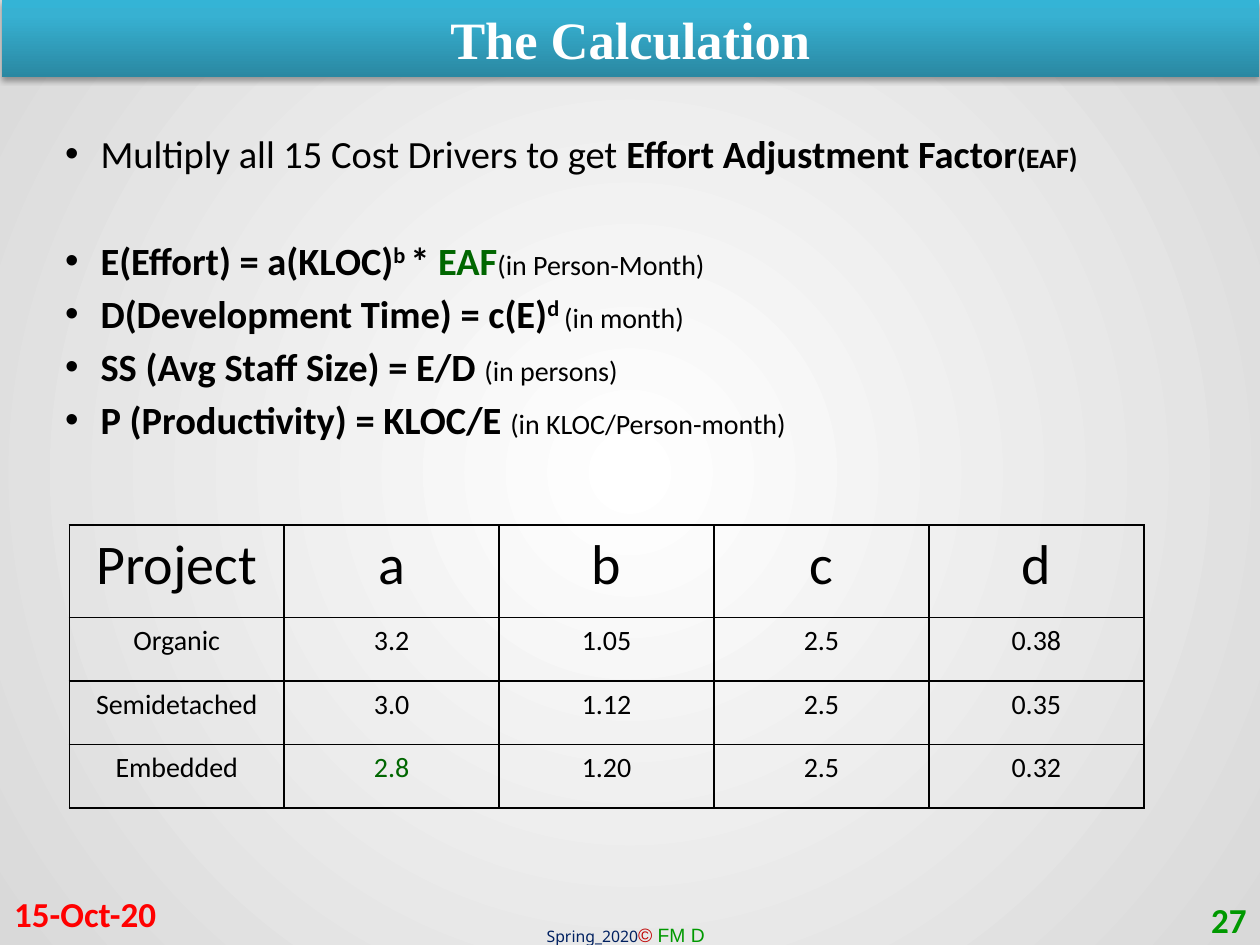
from dataclasses import dataclass

from lxml.etree import SubElement
from pptx import Presentation
from pptx.dml.color import RGBColor
from pptx.enum.text import MSO_ANCHOR, PP_ALIGN
from pptx.oxml import parse_xml
from pptx.oxml.ns import nsdecls, qn
from pptx.util import Pt


@dataclass(frozen=True)
class Theme:
    font: str = "Calibri"
    title_font: str = "Times New Roman"
    footer_font: str = "Noto Sans"
    mark_font: str = "Arial"
    black: str = "000000"
    white: str = "FFFFFF"
    edge: str = "D9D9D9"
    accent: str = "006600"
    date: str = "FF0000"
    number: str = "009900"
    term: str = "002060"
    mark: str = "C00000"
    band: tuple = ((0, "2A88A2"), (80, "37B1D2"), (100, "34B4D6"))
    title_size: int = 30
    body_size: int = 22
    small_size: int = 16
    head_size: int = 32
    corner_size: int = 20
    footer_size: int = 9
    mark_size: int = 11


T = Theme()


def text(value, size=T.body_size, color=T.black, font=T.font, bold=False, italic=False, raised=0):
    return dict(value=value, size=size, color=color, font=font, bold=bold, italic=italic, raised=raised)


def gradient(stops, direction):
    marks = "".join(f'<a:gs pos="{at * 1000}"><a:srgbClr val="{color}"/></a:gs>' for at, color in stops)
    return parse_xml(f'<a:gradFill {nsdecls("a")} rotWithShape="1"><a:gsLst>{marks}</a:gsLst>{direction}</a:gradFill>')


def swap_fill(fill, parent, grad):
    fill.solid()
    solid = parent.find(qn("a:solidFill"))
    parent.replace(solid, grad)


class Deck:
    def __init__(self, theme, width, height):
        self.theme = theme
        self.prs = Presentation()
        self.prs.slide_width, self.prs.slide_height = Pt(width), Pt(height)
        self.s = self.prs.slides.add_slide(self.prs.slide_layouts[5])

    def background(self, inner, outer):
        fill = self.s.background.fill
        fill.solid()
        bg = self.s._element.find(".//" + qn("p:bgPr"))
        centre = '<a:path path="circle"><a:fillToRect l="50000" t="50000" r="50000" b="50000"/></a:path>'
        swap_fill(fill, bg, gradient(((0, inner), (100, outer)), centre))

    def add_runs(self, p, runs, align=PP_ALIGN.LEFT):
        p.alignment = align
        for item in runs:
            r = p.add_run()
            r.text = item["value"]
            f = r.font
            f.name, f.size = item["font"], Pt(item["size"])
            f.bold, f.italic = item["bold"], item["italic"]
            f.color.rgb = RGBColor.from_string(item["color"])
            if item["raised"]:
                r._r.get_or_add_rPr().set("baseline", str(item["raised"] * 1000))

    def title(self, box, run):
        sp = self.s.shapes.title
        sp.left, sp.top, sp.width, sp.height = map(Pt, box)
        swap_fill(sp.fill, sp._element.spPr, gradient(self.theme.band, '<a:lin ang="16200000" scaled="0"/>'))
        sp._element.spPr.append(parse_xml(
            f'<a:effectLst {nsdecls("a")}><a:outerShdw blurRad="{Pt(3.1)}" dist="{Pt(1.8)}" dir="5400000" '
            'rotWithShape="0"><a:srgbClr val="000000"><a:alpha val="35000"/></a:srgbClr></a:outerShdw></a:effectLst>'))
        sp.text_frame.vertical_anchor = MSO_ANCHOR.MIDDLE
        self.add_runs(sp.text_frame.paragraphs[0], [run], PP_ALIGN.CENTER)

    def box(self, box, runs, align=PP_ALIGN.LEFT, anchor=MSO_ANCHOR.TOP, wrap=True):
        tf = self.s.shapes.add_textbox(*map(Pt, box)).text_frame
        tf.word_wrap, tf.vertical_anchor = wrap, anchor
        self.add_runs(tf.paragraphs[0], runs, align)
        return tf

    def bullets(self, box, items, indent):
        tf = self.box(box, items[0][1])
        for i, (gap, runs) in enumerate(items):
            p = tf.paragraphs[0]
            if i:
                p = tf.add_paragraph()
                self.add_runs(p, runs)
            p.space_before = Pt(gap)
            pPr = p._p.get_or_add_pPr()
            pPr.set("marL", str(Pt(indent)))
            pPr.set("indent", str(-Pt(indent)))
            SubElement(pPr, qn("a:buFont"), typeface=self.theme.mark_font)
            SubElement(pPr, qn("a:buChar"), char="•")

    def border(self, cell):
        tcPr = cell._tc.get_or_add_tcPr()
        for side in "LRTB":
            ln = SubElement(tcPr, qn(f"a:ln{side}"), w=str(Pt(1)))
            SubElement(SubElement(ln, qn("a:solidFill")), qn("a:srgbClr"), val=self.theme.black)

    def table(self, left, top, col_width, heights, rows, highlight):
        cols = len(rows[0])
        tbl = self.s.shapes.add_table(
            len(rows), cols, Pt(left), Pt(top), Pt(col_width * cols), Pt(sum(heights))).table
        tbl.first_row = tbl.horz_banding = False
        for col in tbl.columns:
            col.width = Pt(col_width)
        for i, row in enumerate(rows):
            tbl.rows[i].height = Pt(heights[i])
            for j, value in enumerate(row):
                cell = tbl.cell(i, j)
                self.border(cell)
                cell.fill.background()
                size = self.theme.small_size if i else self.theme.head_size
                color = self.theme.accent if (i, j) == highlight else self.theme.black
                self.add_runs(cell.text_frame.paragraphs[0], [text(value, size=size, color=color)], PP_ALIGN.CENTER)


def main():
    d = Deck(T, 720, 540)
    d.background(T.white, T.edge)
    d.box((305.3, 524.2, 108.7, 20.9), [
        text("Spring_2020", size=T.footer_size, font=T.footer_font, color=T.term),
        text("© ", size=T.mark_size, font=T.mark_font, color=T.mark, italic=True),
        text("FM D", size=T.mark_size, font=T.mark_font, color=T.number)], wrap=False)
    d.title((1, 0, 718.5, 43.9), text(
        "The Calculation", size=T.title_size, font=T.title_font, color=T.white, bold=True))
    d.bullets((30.2, 71, 623.5, 205), [
        (0, [text("Multiply all 15 Cost Drivers to get "),
             text("Effort Adjustment Factor", bold=True),
             text("(EAF)", size=T.small_size, bold=True)]),
        (34.4, [text("E(Effort) = a(KLOC)", bold=True),
                text("b ", bold=True, raised=30),
                text("* ", bold=True),
                text("EAF", bold=True, color=T.accent),
                text("(in Person-Month)", size=T.small_size)]),
        (4, [text("D(Development Time) = c(E)", bold=True),
             text("d ", bold=True, raised=30),
             text("(in month)", size=T.small_size)]),
        (4, [text("SS (Avg Staff Size) = E/D ", bold=True),
             text("(in persons)", size=T.small_size)]),
        (4, [text("P (Productivity) = KLOC/E ", bold=True),
             text("(in KLOC/Person-month)", size=T.small_size)]),
    ], indent=20.2)
    d.table(39.6, 300, 122.8, [53, 36.3, 36.3, 36.3], [
        ("Project", "a", "b", "c", "d"),
        ("Organic", "3.2", "1.05", "2.5", "0.38"),
        ("Semidetached", "3.0", "1.12", "2.5", "0.35"),
        ("Embedded", "2.8", "1.20", "2.5", "0.32"),
    ], highlight=(3, 1))
    d.box((1, 507.6, 168, 28.8), [text("15-Oct-20", size=T.corner_size, color=T.date, bold=True)],
          anchor=MSO_ANCHOR.MIDDLE)
    d.box((551.5, 511.2, 168, 28.8), [text("27", size=T.corner_size, color=T.number, bold=True)],
          align=PP_ALIGN.RIGHT, anchor=MSO_ANCHOR.MIDDLE)
    d.prs.save("out.pptx")


if __name__ == "__main__":
    main()
